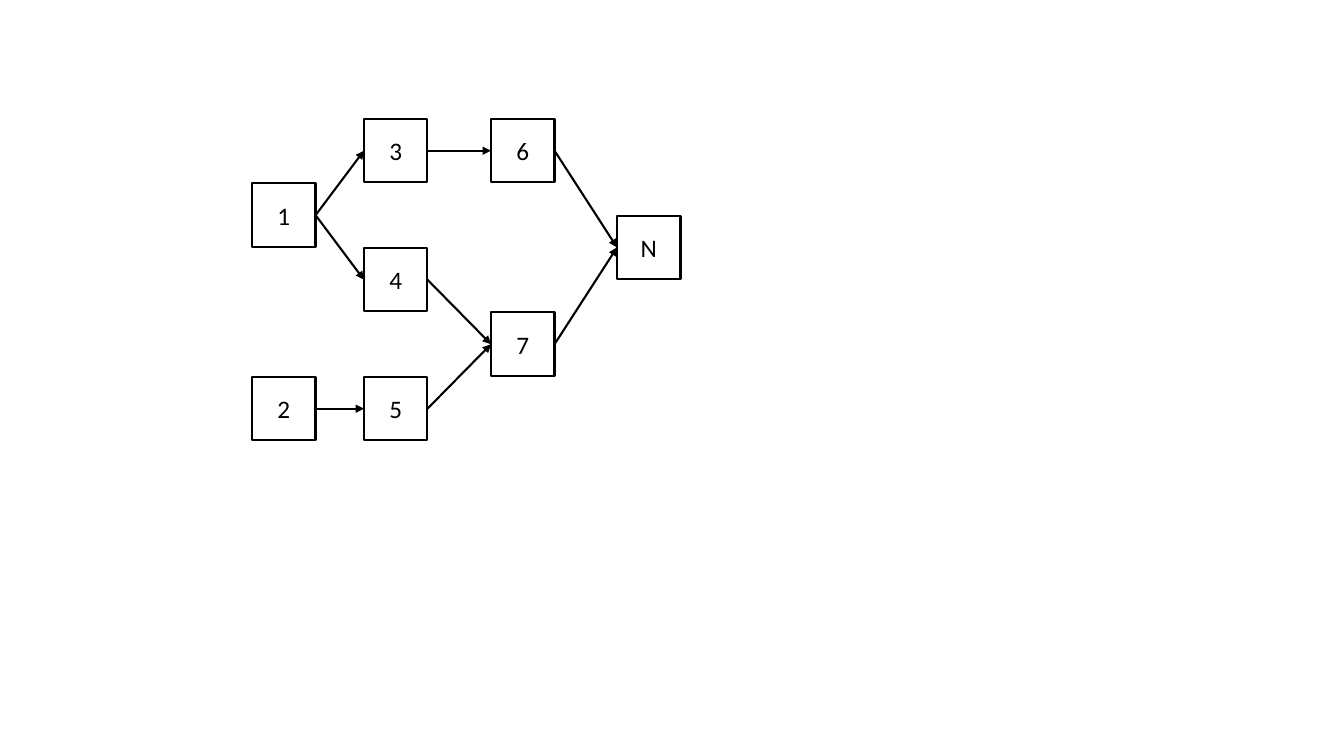
from pptx import Presentation
from pptx.dml.color import RGBColor
from pptx.enum.shapes import MSO_CONNECTOR as Connector, MSO_SHAPE as Shape
from pptx.enum.text import MSO_ANCHOR as Anchor, PP_ALIGN as Align
from pptx.oxml.ns import qn
from pptx.util import Inches, Pt
from lxml.etree import SubElement

INK, PAPER = "000000", "FFFFFF"
LEFT, RIGHT = 1, 3  # connection sites of a rectangle

NODE_SIZE = 0.63
COLUMNS = [0, 1.11, 2.37, 3.62]  # offsets from the left of the network
ROW_PITCH = 0.64

# Label: (column, row); N stands midway between rows 1 and 2
NODES = {
    "1": (0, 1), "2": (0, 4),
    "3": (1, 0), "4": (1, 2), "5": (1, 4),
    "6": (2, 0), "7": (2, 3),
    "N": (3, 1.5),
}
EDGES = ["13", "14", "25", "36", "47", "57", "6N", "7N"]


def color(hex_string):
    return RGBColor.from_string(hex_string)


def style_line(line):
    line.color.rgb = color(INK)
    line.width = Pt(1.5)


def add_node(network, label, left, top):
    node = network.shapes.add_shape(
        Shape.RECTANGLE, Inches(left), Inches(top), Inches(NODE_SIZE), Inches(NODE_SIZE))
    node.shadow.inherit = False
    node.fill.solid()
    node.fill.fore_color.rgb = color(PAPER)
    style_line(node.line)
    frame = node.text_frame
    frame.vertical_anchor = Anchor.MIDDLE
    paragraph = frame.paragraphs[0]
    paragraph.alignment = Align.CENTER
    run = paragraph.add_run()
    run.text = label
    run.font.name = "Calibri"
    run.font.size = Pt(18)
    run.font.color.rgb = color(INK)
    return node


def add_edge(network, source, target):
    edge = network.shapes.add_connector(Connector.STRAIGHT, 0, 0, 0, 0)
    edge.begin_connect(source, RIGHT)
    edge.end_connect(target, LEFT)
    style_line(edge.line)
    # Arrowhead at the target, no shadow
    SubElement(edge.line._get_or_add_ln(), qn("a:tailEnd"), type="triangle")
    SubElement(edge._element.spPr, qn("a:effectLst"))


def add_network(slide, left, top):
    network = slide.shapes.add_group_shape()
    nodes = {
        label: add_node(network, label, left + COLUMNS[column], top + row * ROW_PITCH)
        for label, (column, row) in NODES.items()
    }
    for source, target in EDGES:
        add_edge(network, nodes[source], nodes[target])


def main():
    deck = Presentation()
    deck.slide_width, deck.slide_height = Inches(13.33), Inches(7.5)
    slide = deck.slides.add_slide(deck.slide_layouts[6])  # blank layout
    add_network(slide, left=2.5, top=1.18)
    deck.save("out.pptx")


if __name__ == "__main__":
    main()
